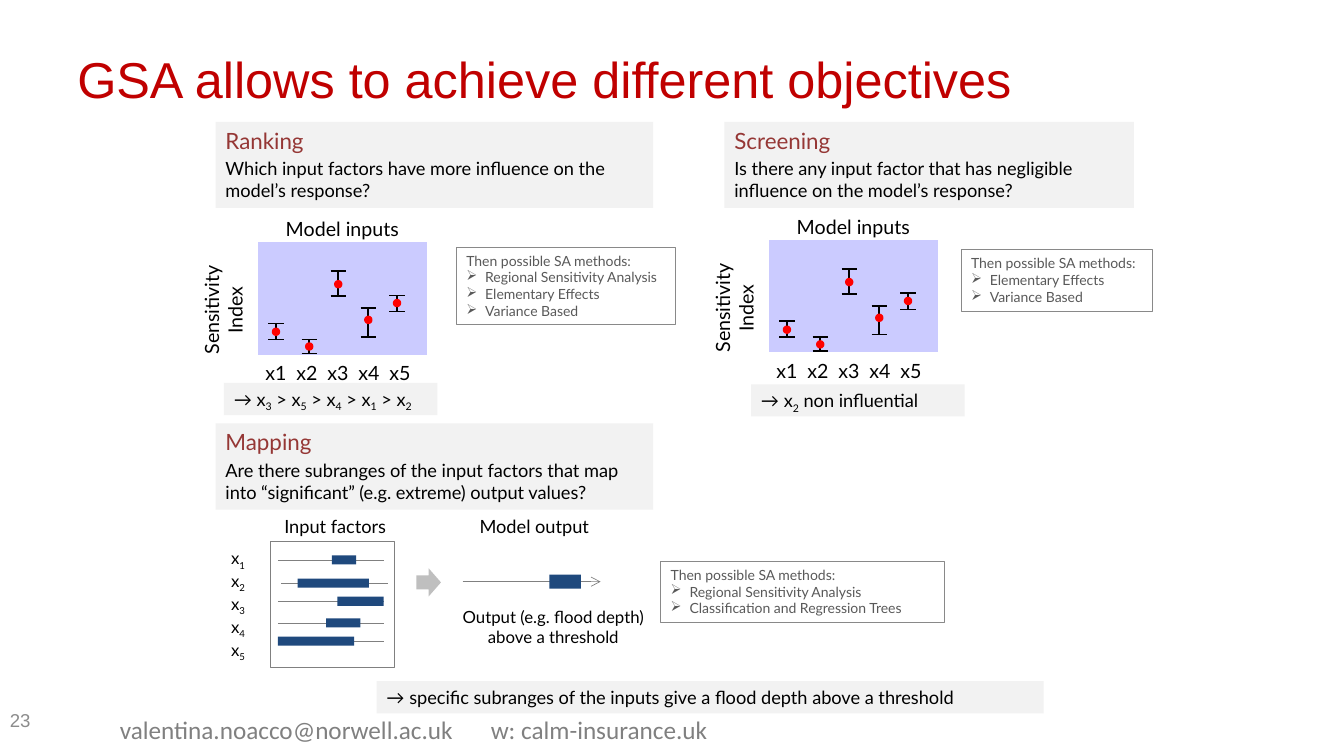
"""Build the slide on the three objectives of global sensitivity analysis."""
from dataclasses import dataclass

from lxml import etree
from pptx import Presentation
from pptx.dml.color import RGBColor
from pptx.enum.shapes import MSO_CONNECTOR, MSO_SHAPE
from pptx.enum.text import MSO_ANCHOR, PP_ALIGN
from pptx.oxml.ns import qn
from pptx.util import Pt

RECT, OVAL, ARROW = MSO_SHAPE.RECTANGLE, MSO_SHAPE.OVAL, MSO_SHAPE.RIGHT_ARROW
STRAIGHT = MSO_CONNECTOR.STRAIGHT
LEFT, MID = PP_ALIGN.LEFT, PP_ALIGN.CENTER
TOP, CORE = MSO_ANCHOR.TOP, MSO_ANCHOR.MIDDLE
TEXT, LINE = "text", "line"


@dataclass(frozen=True)
class Theme:
    sans: str = "Arial"
    body: str = "Lato"
    foot: str = "Calibri"
    title: str = "C00000"
    head: str = "953735"
    black: str = "000000"
    note: str = "595959"
    edge: str = "898989"
    gray: str = "808080"
    page: str = "8C8C8C"
    panel: str = "F2F2F2"
    plot: str = "CBCBFF"
    white: str = "FFFFFF"
    red: str = "FF0000"
    navy: str = "1F497D"
    arrow: str = "BFBFBF"
    huge: float = 36
    big: float = 18
    lead: float = 16
    axis: float = 14
    num: float = 13.3
    base: float = 13
    small: float = 12
    tiny: float = 10


T = Theme()
deck = Presentation()
deck.slide_width, deck.slide_height = Pt(960), Pt(540)
slide = deck.slides.add_slide(deck.slide_layouts[5])


def draw(kind, x, y, w, h, fill=None, line=None, thick=0.75):
    """Add a text box, a straight line or a preset shape."""
    if kind == TEXT:
        return slide.shapes.add_textbox(Pt(x), Pt(y), Pt(w), Pt(h))
    if kind == LINE:
        item = slide.shapes.add_connector(STRAIGHT, Pt(x), Pt(y), Pt(x + w), Pt(y + h))
    else:
        item = slide.shapes.add_shape(kind, Pt(x), Pt(y), Pt(w), Pt(h))
        item.shadow.inherit = False
        if fill:
            item.fill.solid()
            item.fill.fore_color.rgb = RGBColor.from_string(fill)
        else:
            item.fill.background()
    if line:
        item.line.color.rgb = RGBColor.from_string(line)
        item.line.width = Pt(thick)
    else:
        item.line.fill.background()
    if kind == LINE:
        etree.SubElement(item._element.spPr, qn("a:effectLst"))
    return item


def write(item, rows, size=T.base, ink=T.black, align=LEFT, anchor=TOP, face=T.body):
    """Fill a shape with paragraphs; an underscore lowers the next character."""
    frame = item.text_frame
    frame.word_wrap, frame.vertical_anchor = True, anchor
    for i, row in enumerate(rows):
        para = frame.paragraphs[0] if i == 0 else frame.add_paragraph()
        first, *rest = row.split("_")
        para.add_run().text = first
        for part in rest:
            low = para.add_run()
            low.text = part[0]
            low._r.get_or_add_rPr().set("baseline", "-25000")
            if part[1:]:
                para.add_run().text = part[1:]
        para.alignment = align
        para.font.name, para.font.size = face, Pt(size)
        para.font.color.rgb = RGBColor.from_string(ink)
    return frame


title = slide.shapes.title
title.left, title.top, title.width, title.height = Pt(48), Pt(0), Pt(864), Pt(112)
write(title, ["GSA allows to achieve different objectives"], T.huge, T.title,
      anchor=CORE, face=T.sans)
write(draw(TEXT, 0, 500, 224, 29), ["23"], T.num, T.page, anchor=CORE, face=T.sans)
for x, w, note in ((78.5, 255, "valentina.noacco@norwell.ac.uk"),
                   (343.5, 200, "w: calm-insurance.uk")):
    write(draw(TEXT, x, 507, w, 29), [note], T.big, T.gray, face=T.foot)

cards = (
    (154, 87, 312.5, "Ranking",
     "Which input factors have more influence on the model’s response?"),
    (517.5, 87, 292.5, "Screening",
     "Is there any input factor that has negligible influence on the model’s response?"),
    (154, 302.5, 312.5, "Mapping",
     "Are there subranges of the input factors that map into “significant” "
     "(e.g. extreme) output values?"),
)
for x, y, w, name, ask in cards:
    frame = write(draw(RECT, x, y, w, 61.5, T.panel), [name, ask])
    head, text = frame.paragraphs
    head.font.size = Pt(T.lead)
    head.font.color.rgb = RGBColor.from_string(T.head)
    text.space_before = Pt(2.6)

REGION, EFFECT, SPREAD = "Regional Sensitivity Analysis", "Elementary Effects", "Variance Based"
lists = (
    (326, 176.5, 156.5, 55.5, (REGION, EFFECT, SPREAD)),
    (686.5, 178.5, 137, 44, (EFFECT, SPREAD)),
    (472, 401, 203, 44, (REGION, "Classification and Regression Trees")),
)
for x, y, w, h, ways in lists:
    frame = write(draw(RECT, x, y, w, h, line=T.edge),
                  ["Then possible SA methods:", *ways], T.tiny, T.note)
    for para in frame.paragraphs[1:]:
        props = para._p.get_or_add_pPr()
        props.set("marL", str(Pt(13.5)))
        props.set("indent", str(-Pt(13.5)))
        mark = etree.Element(qn("a:buChar"), char="➢")
        props.find(qn("a:defRPr")).addprevious(mark)

bars = ((13.5, 59, 70.5, 65), (37.3, 70.5, 80.5, 75.5), (58, 21.5, 39.5, 31),
        (79.5, 48, 68.5, 56.5), (100, 39, 50.5, 44.5))
for left, top in ((183.6, 172), (548.6, 170.5)):
    draw(RECT, left, top, 122, 82, T.plot, T.white, 1.5)
    for i, (x, high, low, dot) in enumerate(bars):
        draw(LINE, left + x, top + high, 0, low - high, line=T.black, thick=1.25)
        for y in (high, low):
            draw(LINE, left + x - 5.5, top + y, 11, 0, line=T.black, thick=1.25)
        draw(OVAL, left + x - 2, top + dot - 2, 4, 4, T.red, T.red, 2)
        frame = write(draw(TEXT, left + 2.5 + 22.15 * i, top + 79, 22, 30),
                      [f"x{i + 1}"], T.axis, align=MID, anchor=CORE)
        frame.margin_left = frame.margin_right = 0
    side = draw(TEXT, left - 74.3, top + 34.5, 100, 30)
    side.rotation = 270
    write(side, ["Sensitivity Index"], T.axis, align=MID, anchor=CORE)
    write(draw(TEXT, left, top - 20.5, 122, 24.5), ["Model inputs"], T.axis, align=MID)

for x, y, w, claim in (
    (160, 273.5, 152.5, "→ x_3 > x_5 > x_4 > x_1 > x_2"),
    (536.5, 274.5, 152.5, "→ x_2 non influential"),
    (269, 486.5, 476.5, "→ specific subranges of the inputs give a flood depth above a threshold"),
):
    write(draw(RECT, x, y, w, 23, T.panel), [claim])

for x, name in ((196, "Input factors"), (335.5, "Model output")):
    write(draw(TEXT, x, 364.5, 98, 23), [name])
draw(RECT, 193.5, 386.5, 88, 90.5, line=T.gray, thick=0.5)
spans = ((400, 198.5, 237, 17.5), (416.5, 201, 212.5, 51), (429.5, 198.5, 241, 33),
         (445, 198.5, 233, 24.5), (458, 198.5, 198.5, 54.5))
for i, (y, start, x, w) in enumerate(spans):
    draw(LINE, start, y, 76, 0, line=T.gray, thick=0.5)
    draw(RECT, x, y - 3.25, w, 6.5, T.navy)
    write(draw(TEXT, 151, 388 + 16.3 * i, 38, 22), [f"x_{i + 1}"], T.small, align=MID)

draw(ARROW, 297.5, 406, 17.5, 20, T.arrow)
flow = draw(LINE, 330.5, 415.5, 98.5, 0, line=T.gray, thick=0.5)
etree.SubElement(flow.line._get_or_add_ln(), qn("a:tailEnd"), type="arrow")
draw(RECT, 392.5, 410.5, 22.5, 10, T.navy)
write(draw(TEXT, 321, 430, 148.5, 36), ["Output (e.g. flood depth) above a threshold"],
      T.small, align=MID)

deck.save("out.pptx")
